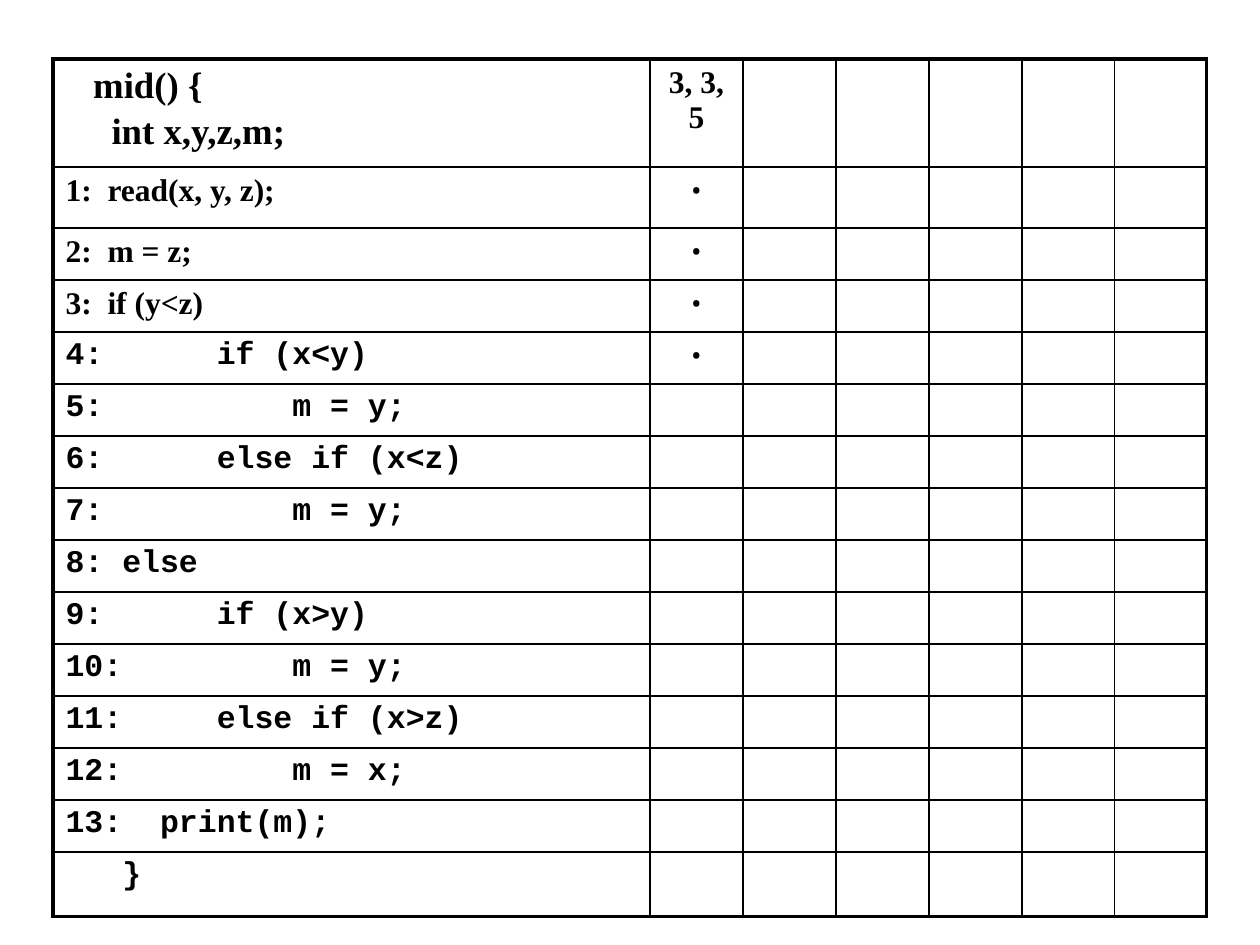
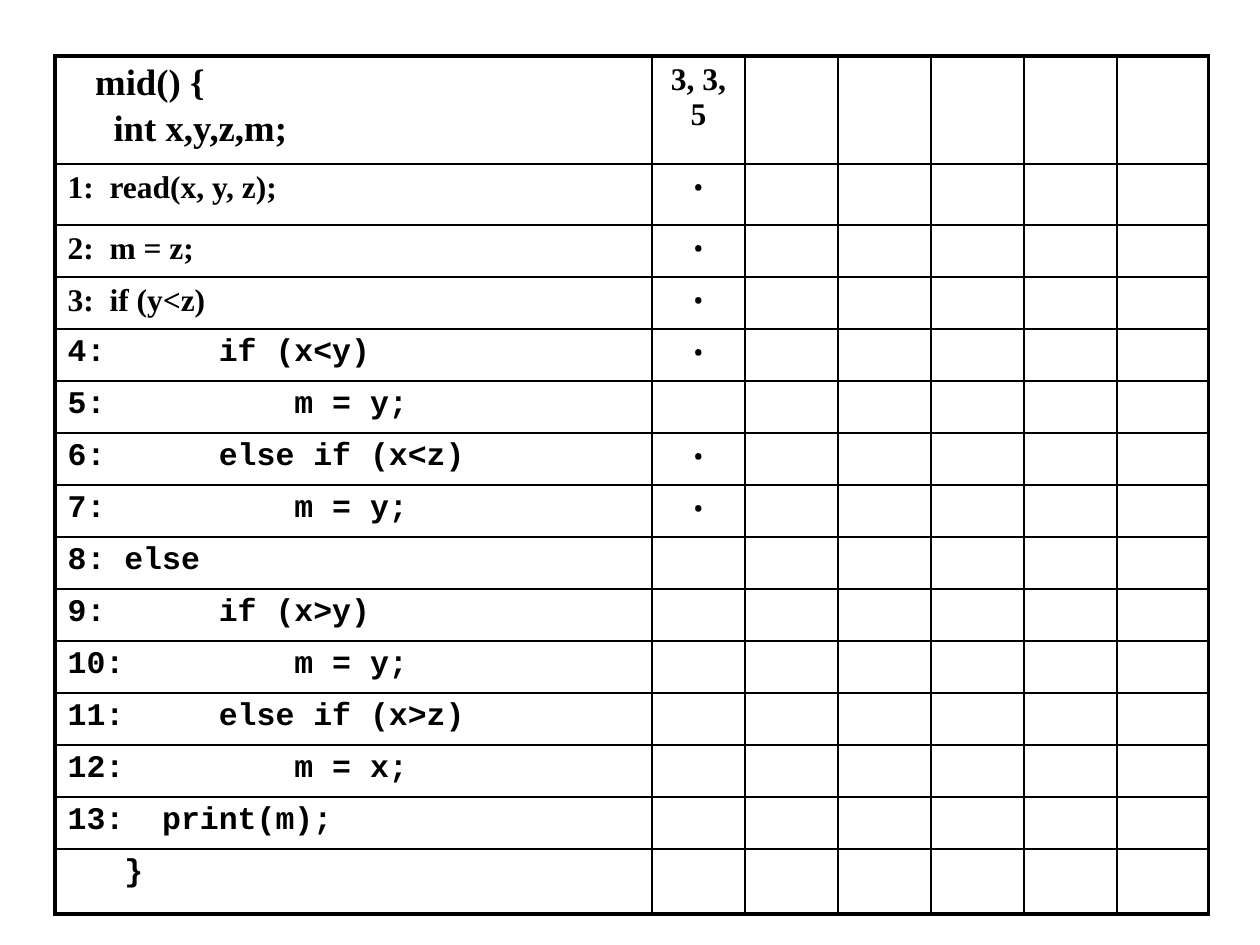
from dataclasses import dataclass

from lxml.etree import SubElement
from pptx import Presentation
from pptx.dml.color import RGBColor
from pptx.enum.text import PP_ALIGN
from pptx.oxml.ns import qn
from pptx.util import Pt

PX = 914400 / 126
BLACK = RGBColor(0, 0, 0)
WHITE = RGBColor(255, 255, 255)
SERIF, MONO, MARK_FONT = "Times New Roman", "Courier New", "Roboto"
THIN, THICK = Pt(1), Pt(2.25)

COLUMN_WIDTHS = [597] + [93] * 5 + [92]
ROW_HEIGHTS = [108, 61] + [52] * 12 + [65]
HEADER_LINES = ["   mid() {", "     int x,y,z,m;"]
TEST_INPUT = "3, 3, 5"


@dataclass(frozen=True)
class CodeLine:
    text: str
    font: str = MONO


@dataclass(frozen=True)
class TracePage:
    left: int
    top: int
    executed: tuple[int, ...]


CODE = [
    CodeLine("1:  read(x, y, z);", SERIF),
    CodeLine("2:  m = z;", SERIF),
    CodeLine("3:  if (y<z)", SERIF),
    CodeLine("4:      if (x<y)"),
    CodeLine("5:          m = y;"),
    CodeLine("6:      else if (x<z)"),
    CodeLine("7:          m = y;"),
    CodeLine("8: else"),
    CodeLine("9:      if (x>y)"),
    CodeLine("10:         m = y;"),
    CodeLine("11:     else if (x>z)"),
    CodeLine("12:         m = x;"),
    CodeLine("13:  print(m);"),
    CodeLine("   }"),
]

PAGES = [
    TracePage(53, 59, (1, 2, 3, 4)),
    TracePage(55, 56, (1, 2, 3, 4, 6, 7)),
]


def px(length: int) -> int:
    return round(length * PX)


def write(cell, lines: list[str], font: str, size: int = 18,
          bold: bool = True, align=PP_ALIGN.LEFT) -> None:
    frame = cell.text_frame
    for index, line in enumerate(lines):
        para = frame.add_paragraph() if index else frame.paragraphs[0]
        para.alignment = align
        if index:
            para.space_before = Pt(3.3)
        span = para.add_run()
        span.text = line
        span.font.name = font
        span.font.size = Pt(size)
        span.font.bold = bold
        span.font.color.rgb = BLACK


def style_cell(cell, row: int, column: int) -> None:
    """Fill the cell and rule it, thick on the outer edge of the table."""
    outer_edges = {
        "L": column == 0,
        "R": column == len(COLUMN_WIDTHS) - 1,
        "T": row == 0,
        "B": row == len(ROW_HEIGHTS) - 1,
    }
    properties = cell._tc.get_or_add_tcPr()
    for side, is_outer in outer_edges.items():
        border = SubElement(properties, qn(f"a:ln{side}"), w=str(THICK if is_outer else THIN))
        SubElement(SubElement(border, qn("a:solidFill")), qn("a:srgbClr"), val=str(BLACK))
    cell.fill.solid()
    cell.fill.fore_color.rgb = WHITE


def add_trace_table(page, trace: TracePage) -> None:
    table = page.shapes.add_table(
        len(ROW_HEIGHTS), len(COLUMN_WIDTHS), px(trace.left), px(trace.top),
        px(sum(COLUMN_WIDTHS)), px(sum(ROW_HEIGHTS))).table
    table.first_row = table.horz_banding = False
    for column, width in zip(table.columns, COLUMN_WIDTHS):
        column.width = px(width)
    for row, height in zip(table.rows, ROW_HEIGHTS):
        row.height = px(height)
    for row in range(len(ROW_HEIGHTS)):
        for column in range(len(COLUMN_WIDTHS)):
            style_cell(table.cell(row, column), row, column)

    write(table.cell(0, 0), HEADER_LINES, SERIF, size=21)
    input_cell = table.cell(0, 1)
    write(input_cell, [TEST_INPUT], SERIF, align=PP_ALIGN.CENTER)
    input_cell._tc.get_or_add_tcPr().set("vert", "eaVert")
    for row, line in enumerate(CODE, start=1):
        write(table.cell(row, 0), [line.text], line.font)
    for row in trace.executed:
        write(table.cell(row, 1), ["•"], MARK_FONT, bold=False, align=PP_ALIGN.CENTER)


def main() -> None:
    deck = Presentation()
    deck.slide_width, deck.slide_height = px(1260), px(945)
    blank = deck.slide_layouts[6]
    for trace in PAGES:
        add_trace_table(deck.slides.add_slide(blank), trace)
    deck.save("out.pptx")


if __name__ == "__main__":
    main()
